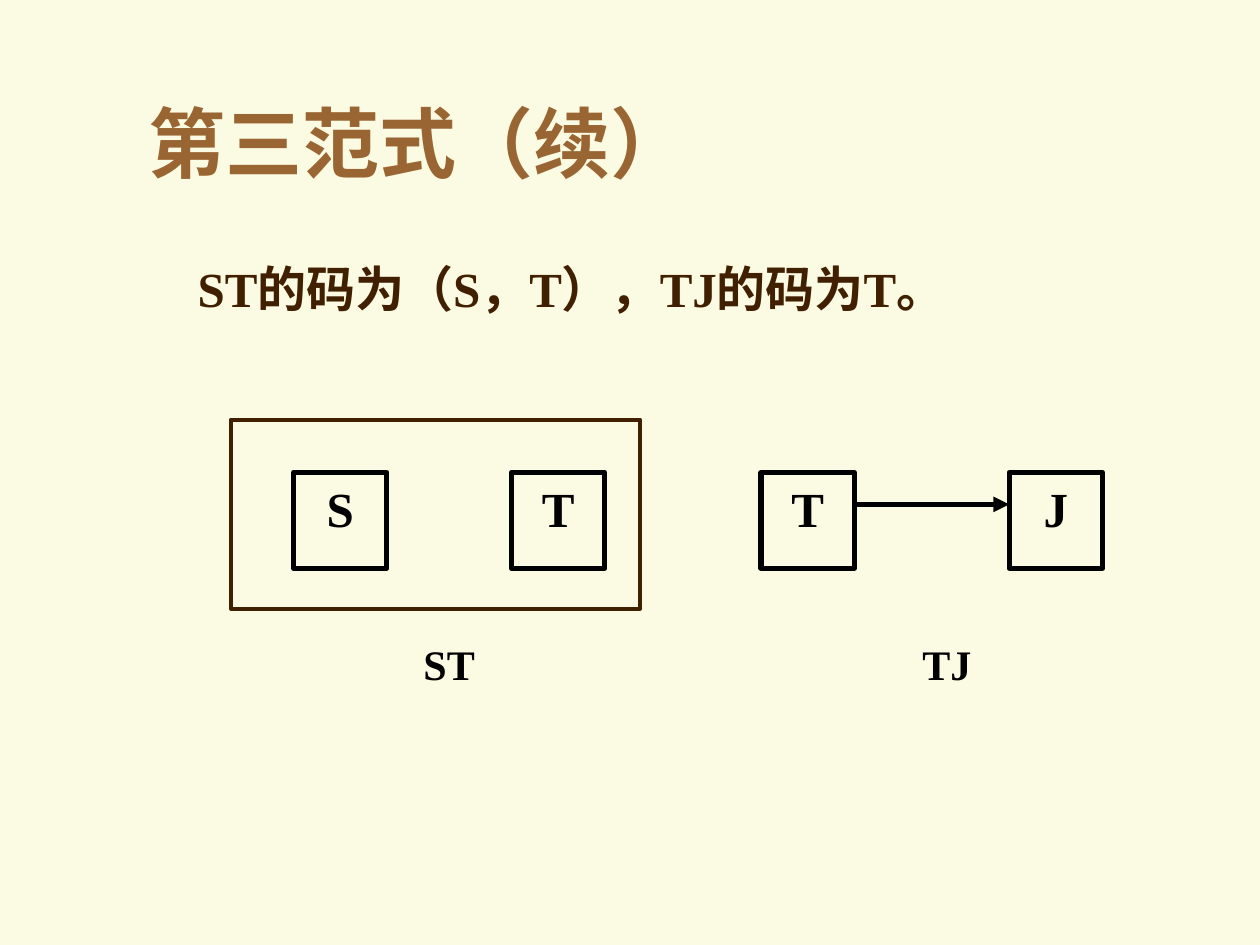
"""Build the third normal form slide: the keys of relations ST and TJ."""
from pptx import Presentation
from pptx.dml.color import RGBColor
from pptx.enum.shapes import MSO_CONNECTOR, MSO_SHAPE
from pptx.enum.text import MSO_ANCHOR, MSO_AUTO_SIZE, PP_ALIGN
from pptx.oxml.ns import qn
from pptx.util import Pt
from lxml.etree import SubElement

CREAM = RGBColor(0xFB, 0xFA, 0xE2)
TAN = RGBColor(0x99, 0x66, 0x33)
BROWN = RGBColor(0x40, 0x20, 0x00)
BLACK = RGBColor(0, 0, 0)
FONT = "Times New Roman"

TITLE = "第三范式（续）"
STATEMENT = "ST的码为（S，T），TJ的码为T。"
ATTRIBUTES = [("S", 167.8), ("T", 292.3), ("T", 434.9), ("J", 576.7)]
RELATIONS = [("ST", 221), ("TJ", 505.4)]
KEY_FRAME = (131.8, 239.8, 234, 108)
ATTRIBUTE_TOP, ATTRIBUTE_WIDTH, ATTRIBUTE_HEIGHT = 270, 53.3, 54.7
RELATION_TOP, RELATION_WIDTH = 361.4, 71.3
ARROW_Y = 288.2


def write(shape, text, size, color, align=PP_ALIGN.LEFT, anchor=MSO_ANCHOR.TOP):
    frame = shape.text_frame
    frame.text = text
    frame.word_wrap = True
    frame.auto_size = MSO_AUTO_SIZE.NONE
    frame.vertical_anchor = anchor
    paragraph = frame.paragraphs[0]
    paragraph.alignment = align
    font = paragraph.runs[0].font
    font.name, font.size, font.bold = FONT, Pt(size), True
    font.color.rgb = color


def add_text(slide, box, *style):
    label = slide.shapes.add_textbox(*map(Pt, box))
    write(label, *style)
    return label


def add_outline(slide, box, color, width):
    outline = slide.shapes.add_shape(MSO_SHAPE.RECTANGLE, *map(Pt, box))
    outline.shadow.inherit = False
    outline.fill.background()
    outline.line.color.rgb = color
    outline.line.width = Pt(width)
    return outline


def add_arrow(slide, start, end, y):
    arrow = slide.shapes.add_connector(
        MSO_CONNECTOR.STRAIGHT, Pt(start), Pt(y), Pt(end), Pt(y))
    arrow.line.color.rgb = BLACK
    arrow.line.width = Pt(3)
    SubElement(arrow.line._get_or_add_ln(), qn("a:tailEnd"), type="triangle")
    SubElement(arrow._element.spPr, qn("a:effectLst"))


def main():
    deck = Presentation()
    deck.slide_width, deck.slide_height = Pt(720), Pt(540)
    slide = deck.slides.add_slide(deck.slide_layouts[5])
    slide.background.fill.solid()
    slide.background.fill.fore_color.rgb = CREAM

    title = slide.shapes.title
    title.left, title.top, title.width, title.height = map(Pt, (77.8, 36, 612, 90))
    write(title, TITLE, 44, TAN, PP_ALIGN.LEFT, MSO_ANCHOR.MIDDLE)

    statement = add_text(slide, (72, 144, 612, 324), STATEMENT, 28, BROWN)
    statement.text_frame.margin_left = Pt(41)

    for name, left in ATTRIBUTES:
        box = (left, ATTRIBUTE_TOP, ATTRIBUTE_WIDTH, ATTRIBUTE_HEIGHT)
        attribute = add_outline(slide, box, BLACK, 3)
        write(attribute, name, 28, BLACK, PP_ALIGN.CENTER)

    determinant_left, dependent_left = (left for _, left in ATTRIBUTES[2:])
    add_arrow(slide, determinant_left + ATTRIBUTE_WIDTH, dependent_left, ARROW_Y)

    for name, left in RELATIONS:
        box = (left, RELATION_TOP, RELATION_WIDTH, ATTRIBUTE_HEIGHT)
        add_text(slide, box, name, 24, BLACK, PP_ALIGN.CENTER)

    add_outline(slide, KEY_FRAME, BROWN, 2.25)
    deck.save("out.pptx")


if __name__ == "__main__":
    main()
